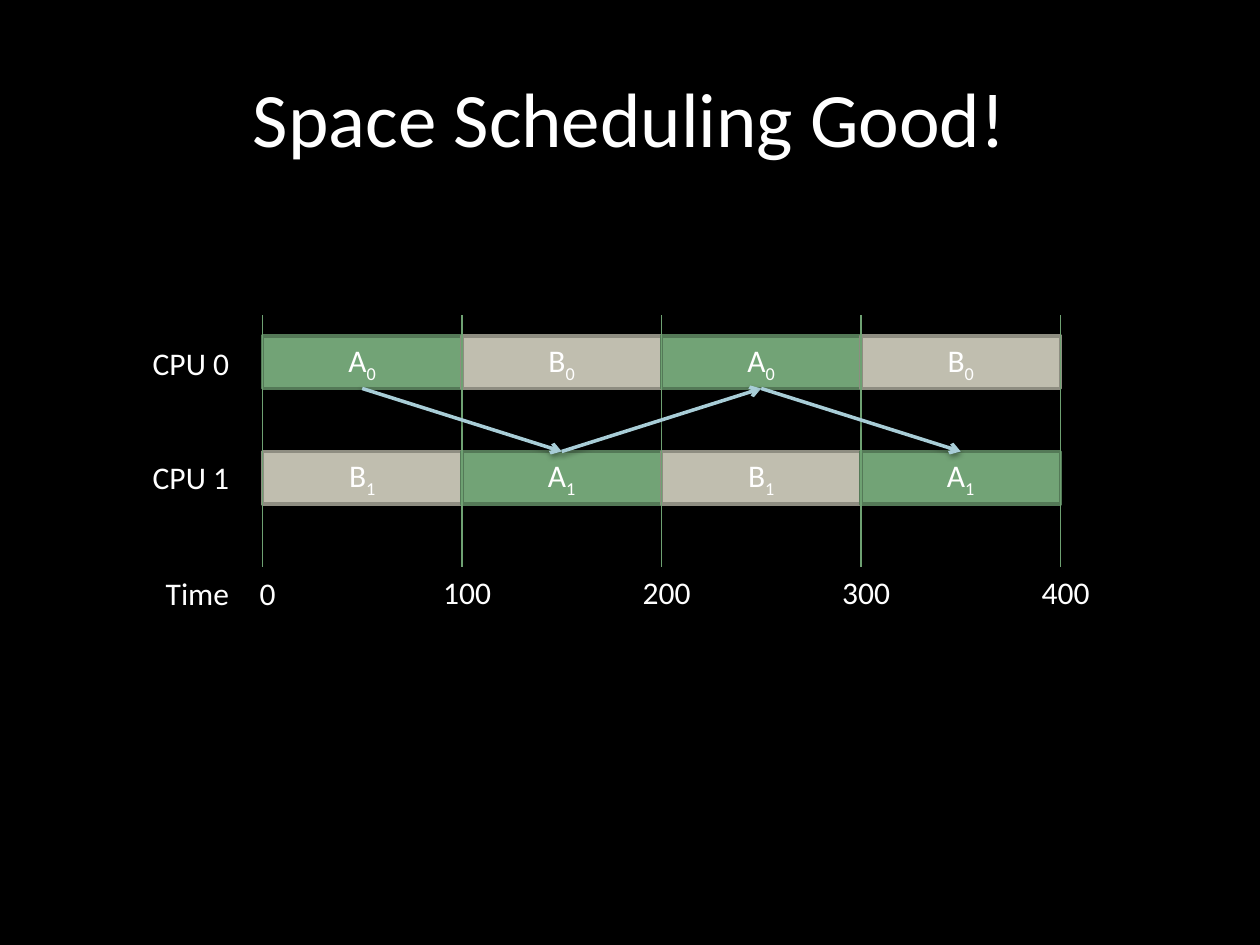
from lxml import etree
from pptx import Presentation, util as u
from pptx.dml.color import RGBColor
from pptx.enum import shapes, text
from pptx.oxml.ns import qn

PX = 7620  # EMU per px, 120 px to the inch
BLACK = RGBColor(0x00, 0x00, 0x00)
WHITE = RGBColor(0xFF, 0xFF, 0xFF)
GRID = RGBColor(0x6E, 0xA1, 0x72)
ARROW = RGBColor(0xA8, 0xCD, 0xD7)
JOB_COLORS = {
    "A": (RGBColor(0x72, 0xA3, 0x76), RGBColor(0x54, 0x79, 0x57)),
    "B": (RGBColor(0xC0, 0xBE, 0xAF), RGBColor(0x8E, 0x8D, 0x81)),
}
START, SLOT = 250, 190


def write(frame, words, align, size=18):
    paragraph = frame.paragraphs[0]
    paragraph.alignment = align
    run = paragraph.add_run()
    run.text = words
    run.font.size = u.Pt(size)
    run.font.name = "Calibri"
    run.font.color.rgb = WHITE
    return run


def label(x, y, words, align):
    box = slide.shapes.add_textbox(x * PX, y * PX, 110 * PX, 48 * PX)
    box.text_frame.word_wrap = True
    box.text_frame.auto_size = text.MSO_AUTO_SIZE.SHAPE_TO_FIT_TEXT
    write(box.text_frame, words, align)


prs = Presentation()
prs.slide_width, prs.slide_height = 1200 * PX, 900 * PX
slide = prs.slides.add_slide(prs.slide_layouts[5])
slide.background.fill.solid()
slide.background.fill.fore_color.rgb = BLACK

# Title
title = slide.shapes.title
title.left, title.top, title.width, title.height = 60 * PX, 36 * PX, 1080 * PX, 150 * PX
title.text_frame.vertical_anchor = text.MSO_ANCHOR.MIDDLE
write(title.text_frame, "Space Scheduling Good!", text.PP_ALIGN.CENTER, 44)

# Time slots of both CPUs
slots = {}
for cpu, (top, jobs) in enumerate([(320, "ABAB"), (430, "BABA")]):
    for i, job in enumerate(jobs):
        slot = slide.shapes.add_shape(shapes.MSO_SHAPE.RECTANGLE, (START + i * SLOT) * PX,
                                      top * PX, SLOT * PX, 50 * PX)
        fill, border = JOB_COLORS[job]
        slot.shadow.inherit = False
        slot.fill.solid()
        slot.fill.fore_color.rgb = fill
        slot.line.color.rgb = border
        slot.line.width = u.Pt(2)
        slot.text_frame.vertical_anchor = text.MSO_ANCHOR.MIDDLE
        write(slot.text_frame, job, text.PP_ALIGN.CENTER)
        index = write(slot.text_frame, str(cpu), text.PP_ALIGN.CENTER)
        index.font._element.set("baseline", "-25000")
        slots[cpu, i] = slot

# Row labels
for y, words in [(322, "CPU 0"), (430, "CPU 1"), (541, "Time")]:
    label(120, y, words, text.PP_ALIGN.RIGHT)

# Time lines and their values
for i in range(5):
    x = START + i * SLOT
    tick = slide.shapes.add_connector(shapes.MSO_CONNECTOR.STRAIGHT,
                                      x * PX, 300 * PX, x * PX, 540 * PX)
    tick.line.color.rgb = GRID
    tick.line.width = u.Pt(0.75)
    etree.SubElement(tick._element.spPr, qn("a:effectLst"))
    label(x - 50, 540 if i else 541, str(i * 100), text.PP_ALIGN.CENTER)

# Arrows follow job A from one CPU to the other
for i in range(3):
    cpu = i % 2
    move = slide.shapes.add_connector(shapes.MSO_CONNECTOR.STRAIGHT, 0, 0, 0, 0)
    move.begin_connect(slots[cpu, i], 0 if cpu else 2)
    move.end_connect(slots[1 - cpu, i + 1], 2 if cpu else 0)
    move.line.color.rgb = ARROW
    move.line.width = u.Pt(2)
    etree.SubElement(move.line._get_or_add_ln(), qn("a:tailEnd"), type="arrow")
    effects = etree.SubElement(move._element.spPr, qn("a:effectLst"))
    shadow = etree.SubElement(effects, qn("a:outerShdw"), blurRad="40000", dist="20000",
                              dir="5400000", rotWithShape="0")
    shade = etree.SubElement(shadow, qn("a:srgbClr"), val="000000")
    etree.SubElement(shade, qn("a:alpha"), val="38000")

prs.save("out.pptx")
